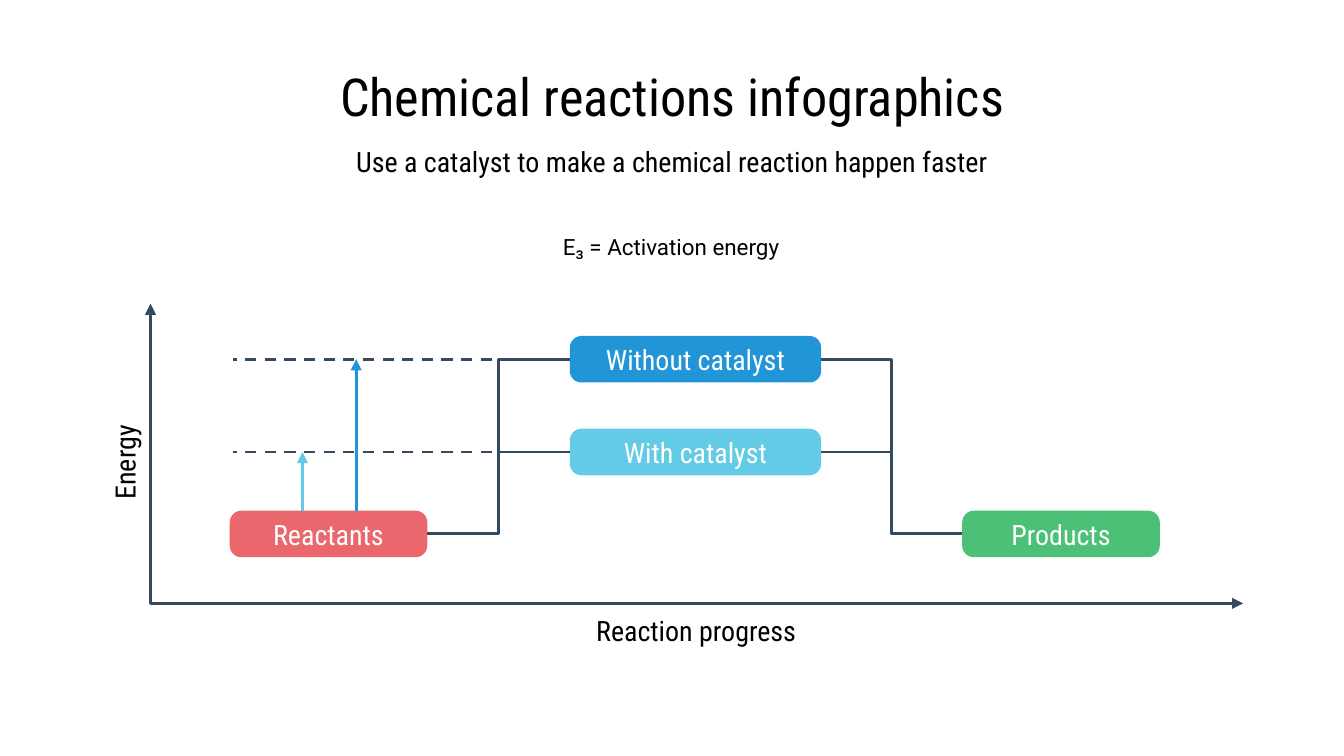
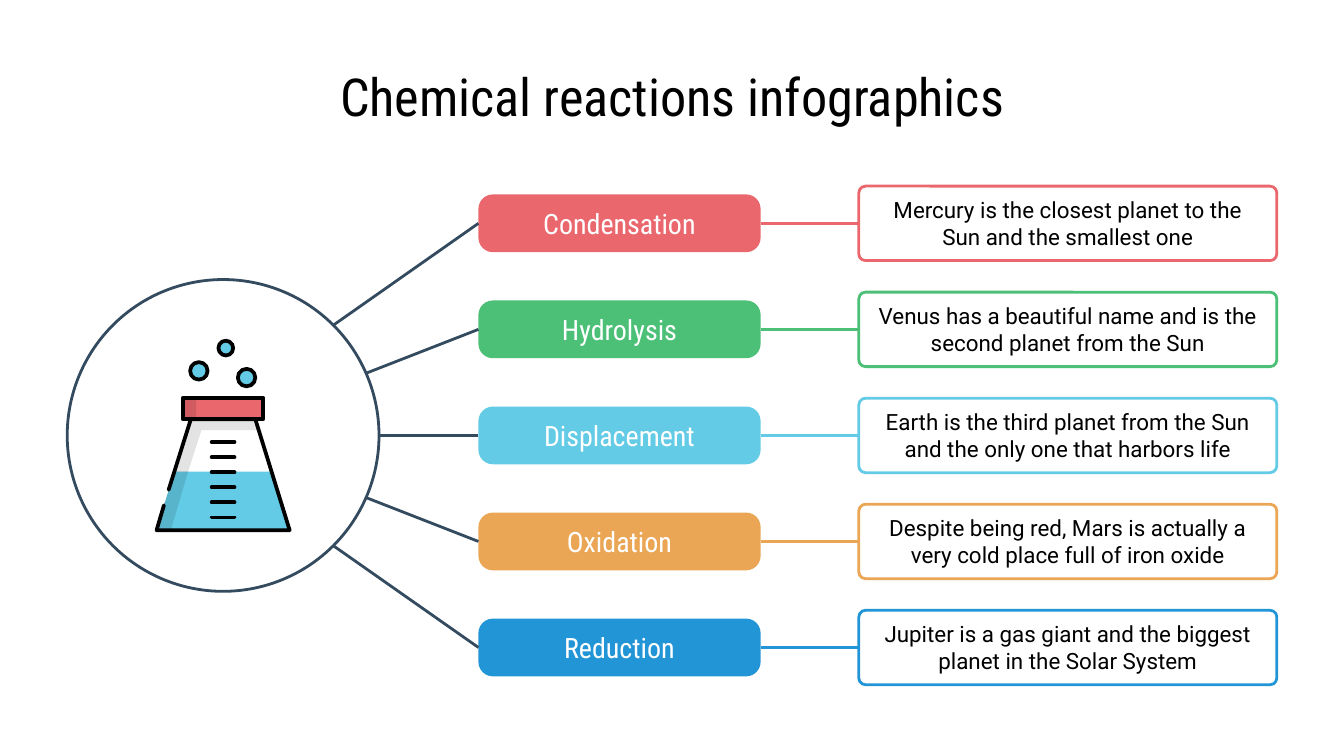
from dataclasses import dataclass
from math import cos, radians, sin

from lxml import etree
from pptx import Presentation
from pptx.dml.color import RGBColor
from pptx.enum.dml import MSO_LINE
from pptx.enum.shapes import MSO_CONNECTOR, MSO_SHAPE
from pptx.enum.text import MSO_ANCHOR, PP_ALIGN
from pptx.oxml.ns import qn
from pptx.presentation import Presentation as Deck
from pptx.shapes.autoshape import Shape
from pptx.shapes.connector import Connector
from pptx.slide import Slide
from pptx.util import Inches, Pt

ROUNDED, OVAL = MSO_SHAPE.ROUNDED_RECTANGLE, MSO_SHAPE.OVAL
STRAIGHT, ELBOW = MSO_CONNECTOR.STRAIGHT, MSO_CONNECTOR.ELBOW
DASH = MSO_LINE.DASH
MIDDLE, CENTER = MSO_ANCHOR.MIDDLE, PP_ALIGN.CENTER
LEFT_SITE, RIGHT_SITE = 1, 3

WIDTH, HEIGHT = Inches(10), Inches(5.625)
COLUMNS = 100
CELL = WIDTH // COLUMNS

Point = tuple[float, float]


@dataclass(frozen=True)
class Theme:
    black: str = "000000"
    white: str = "FFFFFF"
    slate: str = "334A5F"
    red: str = "EA686D"
    green: str = "4BC076"
    sky: str = "63CBE5"
    orange: str = "EAA654"
    blue: str = "2295D7"
    head_font: str = "Roboto Condensed"
    body_font: str = "Roboto"
    title_size: float = 28
    label_size: float = 15
    body_size: float = 12
    rule: float = 1.5
    icon_rule: float = 2
    shade: int = 11


T = Theme()


@dataclass(frozen=True)
class Box:
    x: float
    y: float
    w: float
    h: float

    def emu(self) -> tuple[int, int, int, int]:
        return cells(self.x), cells(self.y), cells(self.w), cells(self.h)


@dataclass(frozen=True)
class Style:
    font: str
    size: float
    color: str


@dataclass(frozen=True)
class Stage:
    text: str
    color: str
    box: Box


@dataclass(frozen=True)
class Reaction:
    name: str
    fact: str
    color: str
    angle: float


@dataclass(frozen=True)
class Patch:
    points: tuple[Point, ...]
    color: str
    opacity: int = 100


TITLE = Style(T.head_font, T.title_size, T.black)
LABEL = Style(T.head_font, T.label_size, T.black)
PILL = Style(T.head_font, T.label_size, T.white)
BODY = Style(T.body_font, T.body_size, T.black)

PILL_TOP, PILL_H = 25, 3.46
STAGES = {
    "reactants": Stage("Reactants", T.red, Box(17.1, 38, 14.7, PILL_H)),
    "products": Stage("Products", T.green, Box(71.6, 38, 14.7, PILL_H)),
    "with": Stage("With catalyst", T.sky, Box(42.4, 31.9, 18.7, PILL_H)),
    "without": Stage("Without catalyst", T.blue, Box(42.4, PILL_TOP, 18.7, PILL_H)),
}

REACTIONS = (
    Reaction("Condensation", "Mercury is the closest planet to the Sun and the smallest one", T.red, -45),
    Reaction("Hydrolysis", "Venus has a beautiful name and is the second planet from the Sun", T.green, -23.5),
    Reaction("Displacement", "Earth is the third planet from the Sun and the only one that harbors life", T.sky, 0),
    Reaction("Oxidation", "Despite being red, Mars is actually a very cold place full of iron oxide", T.orange, 23.5),
    Reaction("Reduction", "Jupiter is a gas giant and the biggest planet in the Solar System", T.blue, 45),
)

CAP = ((13.6, 29.6), (13.6, 31.2), (19.6, 31.2), (19.6, 29.6))
FLASK = (
    Patch(((14.2, 31.2), (11.6, 39.5), (21.6, 39.5), (19, 31.2)), T.white),
    Patch(CAP, T.red),
    Patch(((13.6, 29.6), (13.6, 31.2), (14.6, 31.2), (14.6, 29.6)), T.black, T.shade),
    Patch(((13, 35.1), (11.6, 39.5), (21.6, 39.5), (20.2, 35.1)), T.sky),
    Patch(((14.2, 31.2), (13, 35.1), (14, 35.1), (15, 32), (19.3, 32), (19, 31.2)), T.black, T.shade),
    Patch(((13, 35.1), (11.6, 39.5), (12.7, 39.5), (14, 35.1)), T.black, T.shade),
)
GLASS = ((12.55, 36.45), (14.2, 31.2), (19, 31.2), (21.55, 39.45), (11.65, 39.45), (12.2, 37.6))
BUBBLES = ((18.35, 28.1, 1.3), (16.8, 25.9, 1.1), (14.8, 27.6, 1.3))


def cells(n: float) -> int:
    return round(n * CELL)


def rgb(color: str) -> RGBColor:
    return RGBColor.from_string(color)


def write(sp: Shape, text: str, style: Style, inset: float = 1) -> None:
    tf = sp.text_frame
    tf.word_wrap = True
    tf.vertical_anchor = MIDDLE
    tf.margin_left = tf.margin_right = cells(1)
    tf.margin_top = tf.margin_bottom = cells(inset)
    p = tf.paragraphs[0]
    p.alignment = CENTER
    r = p.add_run()
    r.text = text
    r.font.name = style.font
    r.font.size = Pt(style.size)
    r.font.color.rgb = rgb(style.color)


def add_text(s: Slide, box: Box, text: str, style: Style, rotation: float = 0) -> None:
    sp = s.shapes.add_textbox(*box.emu())
    sp.rotation = rotation
    write(sp, text, style)


def stroke(sp: Shape | Connector, color: str, width: float = T.rule) -> None:
    sp.line.color.rgb = rgb(color)
    sp.line.width = Pt(width)


def paint(sp: Shape, fill: str | None, line: str | None, width: float = T.rule) -> None:
    sp.shadow.inherit = False
    if fill:
        sp.fill.solid()
        sp.fill.fore_color.rgb = rgb(fill)
    else:
        sp.fill.background()
    if line:
        stroke(sp, line, width)
    else:
        sp.line.fill.background()


def add_arrowhead(sp: Shape | Connector, *ends: str) -> None:
    ln = sp.element.spPr.find(qn("a:ln"))
    for end in ends:
        etree.SubElement(ln, qn(f"a:{end}"), type="triangle")


def round_caps(sp: Shape | Connector) -> None:
    sp.element.spPr.find(qn("a:ln")).set("cap", "rnd")


def add_line(s: Slide, start: Point, end: Point, color: str = T.slate,
             width: float = T.rule, kind: MSO_CONNECTOR = STRAIGHT) -> Connector:
    c = s.shapes.add_connector(kind, *(cells(n) for n in start + end))
    stroke(c, color, width)
    etree.SubElement(c.element.spPr, qn("a:effectLst"))
    return c


def link(s: Slide, a: Shape, b: Shape, color: str, kind: MSO_CONNECTOR) -> None:
    c = add_line(s, (0, 0), (1, 1), color, kind=kind)
    c.begin_connect(a, RIGHT_SITE)
    c.end_connect(b, LEFT_SITE)


def add_outline(s: Slide, points: tuple[Point, ...], closed: bool) -> Shape:
    path = [(cells(x), cells(y)) for x, y in points]
    builder = s.shapes.build_freeform(*path[0])
    builder.add_line_segments(path[1:], close=closed)
    return builder.convert_to_shape()


def add_pill(s: Slide, box: Box, text: str, color: str) -> Shape:
    sp = s.shapes.add_shape(ROUNDED, *box.emu())
    sp.adjustments[0] = 0.25
    paint(sp, color, None)
    write(sp, text, PILL, 0.5)
    return sp


def add_card(s: Slide, box: Box, text: str, color: str) -> Shape:
    sp = s.shapes.add_shape(ROUNDED, *box.emu())
    sp.adjustments[0] = 0.09
    paint(sp, None, color)
    write(sp, text, BODY)
    return sp


def add_circle(s: Slide, x: float, y: float, diameter: float,
               fill: str | None, line: str, width: float) -> None:
    box = Box(x - diameter / 2, y - diameter / 2, diameter, diameter)
    paint(s.shapes.add_shape(OVAL, *box.emu()), fill, line, width)


def add_slide(prs: Deck) -> Slide:
    s = prs.slides.add_slide(prs.slide_layouts[6])
    add_text(s, Box(3.4, 4.5, 93.2, 5.3), "Chemical reactions infographics", TITLE)
    return s


def draw_energy_slide(prs: Deck) -> None:
    s = add_slide(prs)
    add_text(s, Box(5, 10, 90, 4), "Use a catalyst to make a chemical reaction happen faster", LABEL)
    add_text(s, Box(35.8, 16.6, 28.3, 3.5), "E₃ = Activation energy", BODY)

    pills = {key: add_pill(s, st.box, st.text, st.color) for key, st in STAGES.items()}
    for key, arrow_x in (("with", 22.5), ("without", 26.5)):
        stage = STAGES[key]
        level = stage.box.y + PILL_H / 2
        link(s, pills["reactants"], pills[key], T.slate, ELBOW)
        link(s, pills[key], pills["products"], T.slate, ELBOW)
        add_line(s, (36.6, level), (17.3, level)).line.dash_style = DASH
        arrow = add_line(s, (arrow_x, STAGES["reactants"].box.y), (arrow_x, level), stage.color)
        add_arrowhead(arrow, "tailEnd")

    axes = add_outline(s, ((11.2, 22.6), (11.2, 44.9), (92.5, 44.9)), False)
    paint(axes, None, T.slate)
    add_arrowhead(axes, "headEnd", "tailEnd")
    add_text(s, Box(-1.2, 32.4, 20.9, 4), "Energy", LABEL, 270)
    add_text(s, Box(11.2, 44.9, 81.2, 4), "Reaction progress", LABEL)


def draw_flask(s: Slide) -> None:
    for patch in FLASK:
        sp = add_outline(s, patch.points, True)
        paint(sp, patch.color, None)
        if patch.opacity < 100:
            color = sp.element.spPr.find(qn("a:solidFill"))[0]
            etree.SubElement(color, qn("a:alpha"), val=str(patch.opacity * 1000))
    for points, closed in ((GLASS, False), (CAP, True)):
        sp = add_outline(s, points, closed)
        paint(sp, None, T.black, T.icon_rule)
        round_caps(sp)
    for x, y, diameter in BUBBLES:
        add_circle(s, x, y, diameter, T.sky, T.black, T.icon_rule)
    for i in range(6):
        y = 32.9 + 1.12 * i
        round_caps(add_line(s, (15.75, y), (17.45, y), T.black, T.icon_rule))


def draw_types_slide(prs: Deck) -> None:
    s = add_slide(prs)
    hub_x, hub_y, radius = 16.6, 32.4, 11.6
    pill_x, pill_w, pill_h = 35.6, 21, 4.3
    card_x, card_w, card_h = 63.9, 31.1, 5.54
    pitch = 7.89
    add_circle(s, hub_x, hub_y, 2 * radius, None, T.slate, T.rule)
    for i, item in enumerate(REACTIONS):
        y = hub_y + (i - len(REACTIONS) // 2) * pitch
        pill = add_pill(s, Box(pill_x, y - pill_h / 2, pill_w, pill_h), item.name, item.color)
        card = add_card(s, Box(card_x, y - card_h / 2, card_w, card_h), item.fact, item.color)
        link(s, pill, card, item.color, STRAIGHT)
        turn = radians(item.angle)
        rim = (hub_x + radius * cos(turn), hub_y + radius * sin(turn))
        add_line(s, rim, (pill_x, y))
    draw_flask(s)


def main() -> None:
    prs = Presentation()
    prs.slide_width, prs.slide_height = WIDTH, HEIGHT
    draw_energy_slide(prs)
    draw_types_slide(prs)
    prs.save("out.pptx")


if __name__ == "__main__":
    main()
